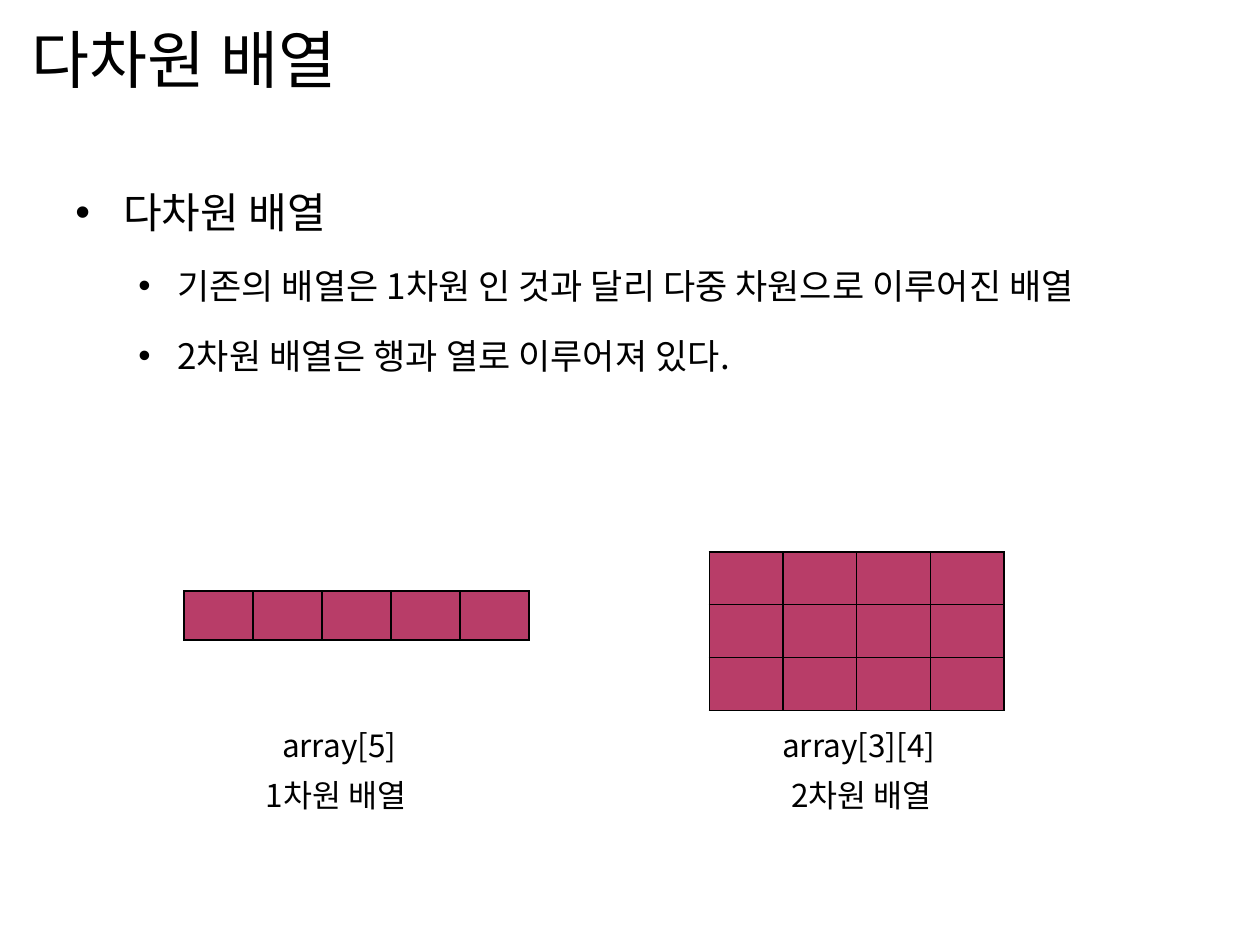
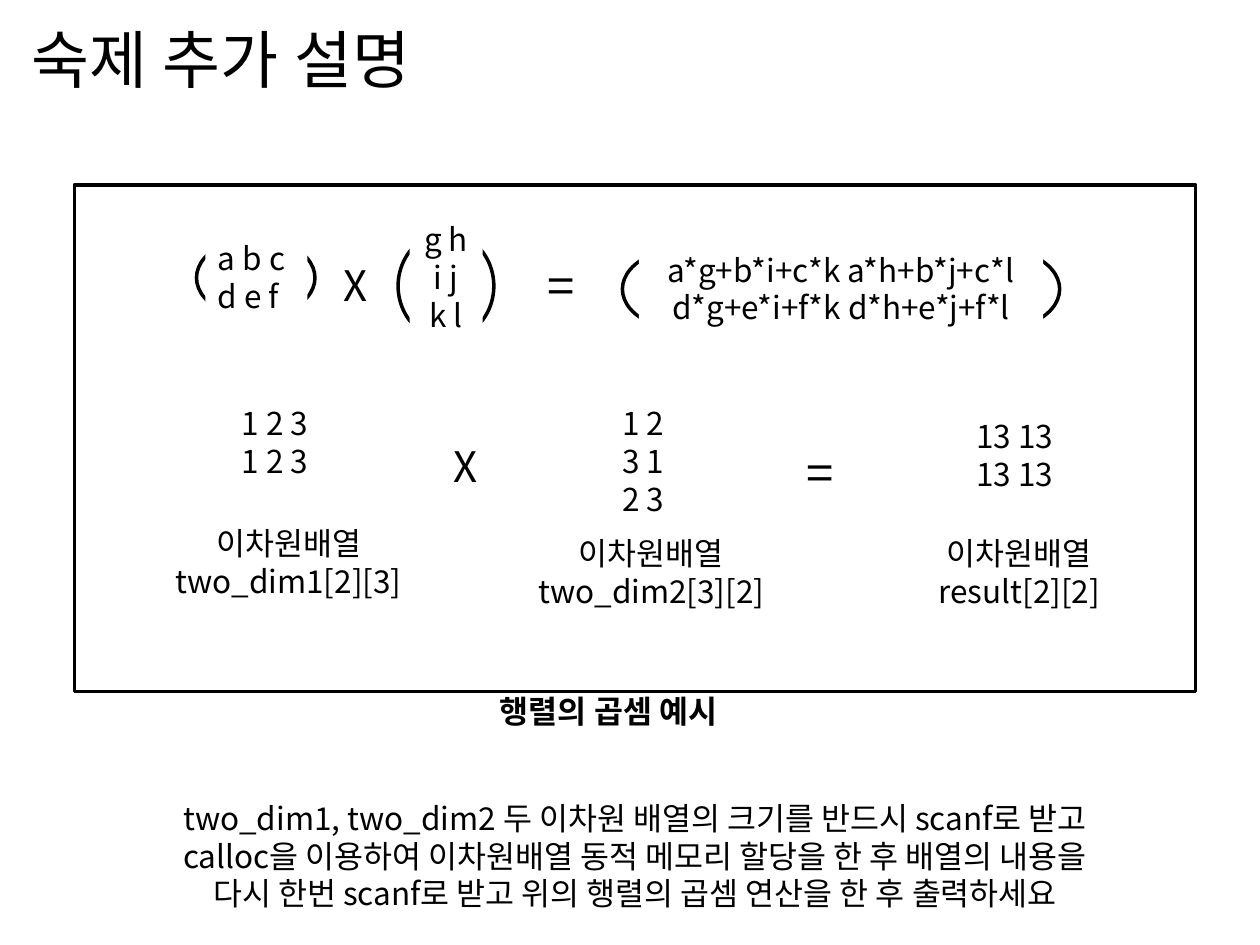
from pptx import Presentation
from pptx.dml.color import RGBColor
from pptx.enum import shapes, text
from pptx.oxml import parse_xml
from pptx.oxml.ns import nsdecls, qn
from pptx.util import Inches, Pt

BLACK = RGBColor(0x00, 0x00, 0x00)
WHITE = RGBColor(0xFF, 0xFF, 0xFF)
CELL_PINK = RGBColor(0xB8, 0x3D, 0x68)
BODY_FONT = "Noto Sans CJK KR"
TITLE_FONT = "Roboto"
LEFT, CENTER = text.PP_ALIGN.LEFT, text.PP_ALIGN.CENTER


def format_paragraph(p, size, font=BODY_FONT, bold=False):
    for r in p.runs:
        r.font.size = Pt(size)
        r.font.name = font
        r.font.bold = bold
        r.font.color.rgb = BLACK
        r._r.get_or_add_rPr().find(qn("a:latin")).addnext(
            parse_xml(f'<a:ea {nsdecls("a")} typeface="{font}"/>'))


def fill_text(tf, lines, size=18, align=LEFT, **style):
    for i, line in enumerate(lines):
        p = tf.paragraphs[0] if i == 0 else tf.add_paragraph()
        p.text = line
        p.alignment = align
        format_paragraph(p, size, **style)


def add_text(s, box, *lines, wrap=False, **style):
    tf = s.shapes.add_textbox(*map(Inches, box)).text_frame
    tf.word_wrap = wrap
    fill_text(tf, lines, **style)
    return tf


def add_title(s, title):
    tf = add_text(s, (0.15, 0.12, 9, 0.69), title, wrap=True, size=36, font=TITLE_FONT)
    tf.vertical_anchor = text.MSO_ANCHOR.MIDDLE


def add_bullets(s, box, items):
    """Add (level, text) items as a bulleted list."""
    tf = add_text(s, box, *(item for _, item in items), wrap=True)
    for p, (level, _) in zip(tf.paragraphs, items):
        size, left, hang = ((24, 0.38, 0.38), (20, 0.81, 0.31))[level]
        for r in p.runs:
            r.font.size = Pt(size)
        p.level = level
        p.line_spacing = 1.5
        p.space_before = Pt(size * 0.2)
        pPr = p._p.get_or_add_pPr()
        pPr.set("marL", str(Inches(left)))
        pPr.set("indent", str(-Inches(hang)))
        pPr.append(parse_xml(f'<a:buFont {nsdecls("a")} typeface="Arial"/>'))
        pPr.append(parse_xml(f'<a:buChar {nsdecls("a")} char="•"/>'))


def add_array_grid(s, box, rows, cols):
    table = s.shapes.add_table(rows, cols, *map(Inches, box)).table
    for cell in table.iter_cells():
        cell.margin_top = cell.margin_bottom = 0
        cell.fill.solid()
        cell.fill.fore_color.rgb = CELL_PINK
        tcPr = cell._tc.get_or_add_tcPr()
        for i, side in enumerate(("lnL", "lnR", "lnT", "lnB")):
            tcPr.insert(i, parse_xml(
                f'<a:{side} {nsdecls("a")} w="{Pt(1)}"><a:solidFill>'
                f'<a:srgbClr val="{BLACK}"/></a:solidFill></a:{side}>'))


def add_outline(s, kind, box):
    sp = s.shapes.add_shape(kind, *map(Inches, box))
    sp.shadow.inherit = False
    sp.fill.background()
    sp.line.color.rgb = BLACK
    sp.line.width = Pt(2)


def add_matrix(s, ellipses, box, *rows, wrap=False, align=CENTER):
    """Cover the middle of the ellipses with white so their ends read as brackets."""
    for ellipse in ellipses:
        add_outline(s, shapes.MSO_SHAPE.OVAL, ellipse)
    sp = s.shapes.add_shape(shapes.MSO_SHAPE.RECTANGLE, *map(Inches, box))
    sp.shadow.inherit = False
    sp.fill.solid()
    sp.fill.fore_color.rgb = WHITE
    sp.line.fill.background()
    tf = sp.text_frame
    tf.word_wrap = wrap
    tf.vertical_anchor = text.MSO_ANCHOR.TOP
    fill_text(tf, rows, align=align)


def add_operators(s, times, equals):
    add_text(s, (*times, 0.41, 0.5), "X", size=24)
    add_text(s, (*equals, 0.45, 0.57), "=", size=28)


def build_array_slide(s):
    add_title(s, "다차원 배열")
    add_array_grid(s, (1.46, 4.69, 2.74, 0.39), 1, 5)
    add_array_grid(s, (5.63, 4.38, 2.34, 1.26), 3, 4)
    add_bullets(s, (0.5, 1.23, 9, 5.47), [
        (0, "다차원 배열"),
        (1, "기존의 배열은 1차원 인 것과 달리 다중 차원으로 이루어진 배열"),
        (1, "2차원 배열은 행과 열로 이루어져 있다."),
    ])
    add_text(s, (2.01, 6.11, 1.44, 0.4), "1차원 배열")
    add_text(s, (6.18, 6.11, 1.44, 0.4), "2차원 배열")
    add_text(s, (2.14, 5.71, 1.18, 0.4), "array[5]")
    add_text(s, (6.11, 5.71, 1.58, 0.4), "array[3][4]")


def build_homework_slide(s):
    add_title(s, "숙제 추가 설명")

    add_matrix(s, [(1.56, 1.89, 0.94, 0.63)], (1.63, 1.85, 0.81, 0.71),
               "a b c", "d e f", align=LEFT)
    add_matrix(s, [(3.16, 1.85, 0.76, 0.84)], (3.25, 1.7, 0.58, 1.01),
               "g h", "i j", "k l")
    add_matrix(s, [(x, 1.98, 0.94, 0.63) for x in (4.94, 7.47)], (5.07, 1.94, 3.21, 0.71),
               "a*g+b*i+c*k a*h+b*j+c*l", "d*g+e*i+f*k d*h+e*j+f*l", wrap=True)
    add_operators(s, (2.63, 2.01), (4.25, 1.98))

    add_text(s, (1.82, 3.16, 0.81, 0.71), "1 2 3", "1 2 3")
    add_text(s, (4.84, 3.16, 0.66, 1.01), "1 2", "3 1", "2 3")
    add_text(s, (7.65, 3.26, 0.87, 0.71), "13 13", "13 13")
    add_operators(s, (3.5, 3.45), (6.3, 3.46))
    for box, name in (((1.23, 4.11, 2.12, 0.71), "two_dim1[2][3]"),
                      ((4.11, 4.19, 2.12, 0.71), "two_dim2[3][2]"),
                      ((7.27, 4.19, 1.64, 0.71), "result[2][2]")):
        add_text(s, box, "이차원배열", name, align=CENTER)

    add_text(s, (0.93, 6.29, 8.22, 1.01),
             "two_dim1, two_dim2 두 이차원 배열의 크기를 반드시 scanf로 받고",
             "calloc을 이용하여 이차원배열 동적 메모리 할당을 한 후 배열의 내용을",
             "다시 한번 scanf로 받고 위의 행렬의 곱셈 연산을 한 후 출력하세요",
             align=CENTER)
    add_outline(s, shapes.MSO_SHAPE.RECTANGLE, (0.59, 1.47, 8.9, 4.02))
    add_text(s, (3.87, 5.44, 2.14, 0.4), "행렬의 곱셈 예시", bold=True)


def main():
    prs = Presentation()
    prs.slide_width, prs.slide_height = Inches(10), Inches(7.5)
    for build in (build_array_slide, build_homework_slide):
        build(prs.slides.add_slide(prs.slide_layouts[6]))
    prs.save("out.pptx")


if __name__ == "__main__":
    main()
